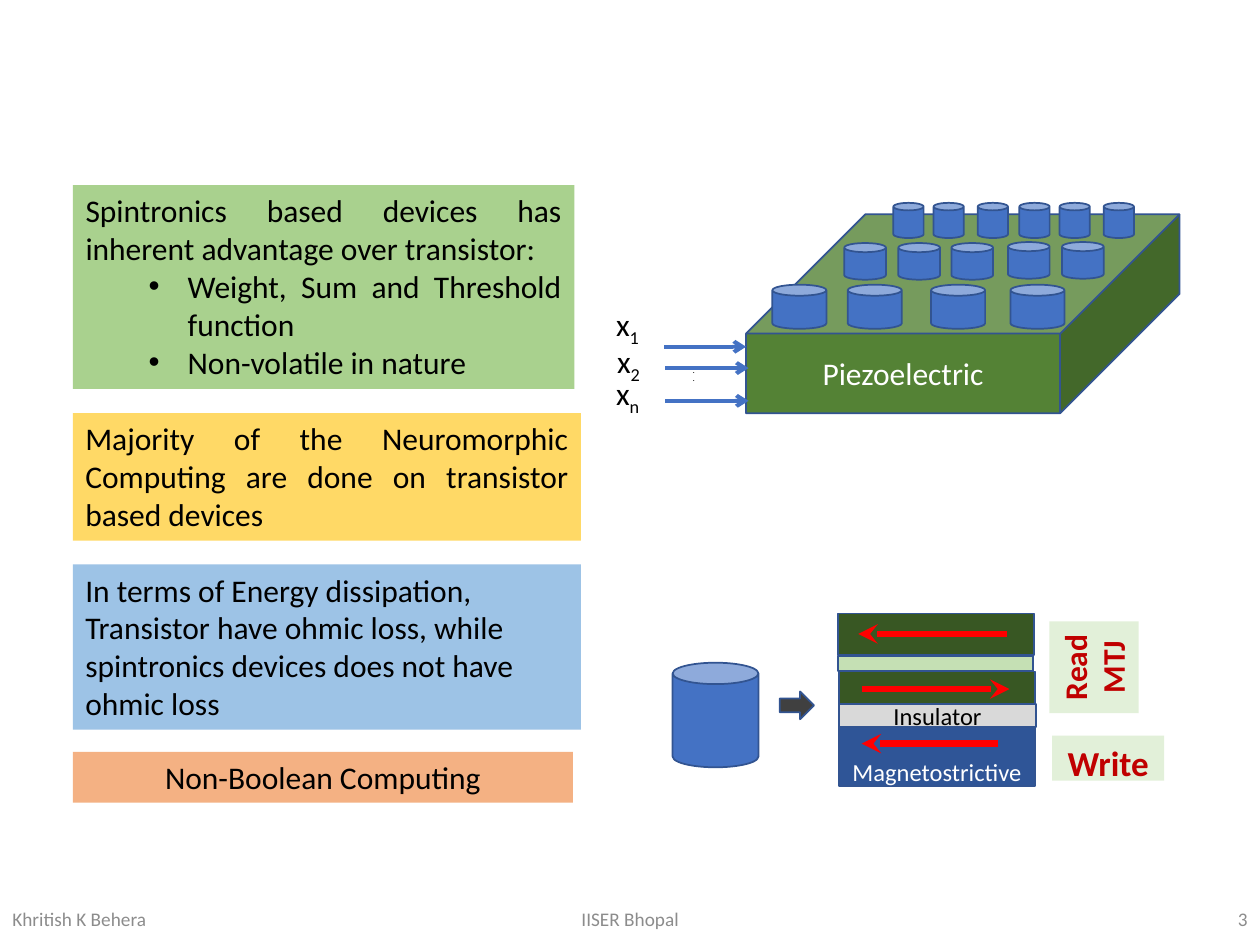
from dataclasses import dataclass

from lxml.etree import SubElement
from pptx import Presentation
from pptx.dml.color import RGBColor
from pptx.enum.shapes import MSO_CONNECTOR, MSO_SHAPE
from pptx.enum.text import MSO_ANCHOR, MSO_AUTO_SIZE, PP_ALIGN
from pptx.oxml.ns import qn
from pptx.util import Cm, Pt


@dataclass(frozen=True)
class Theme:
    font: str = "Calibri"
    black: str = "000000"
    white: str = "FFFFFF"
    grey: str = "8C8C8C"
    crimson: str = "C00000"
    red: str = "FF0000"
    blue: str = "4472C4"
    outline: str = "325491"
    piezo: str = "548235"
    magnet: str = "385723"
    spacer: str = "C5E0B4"
    insulator: str = "D9D9D9"
    magnetostrictive: str = "2F5597"
    step: str = "404040"
    tag: str = "E2F0D9"
    advantage: str = "A9D18E"
    majority: str = "FFD966"
    energy: str = "9DC3E6"
    computing: str = "F4B183"
    body: float = 18
    large: float = 20
    layer: float = 14
    footer: float = 11
    dot: float = 4


@dataclass(frozen=True)
class Area:
    """A frame in centimetres."""
    left: float
    top: float
    width: float
    height: float

    def lengths(self) -> tuple:
        return Cm(self.left), Cm(self.top), Cm(self.width), Cm(self.height)


@dataclass(frozen=True)
class Style:
    size: float
    color: str
    align: PP_ALIGN = PP_ALIGN.LEFT
    anchor: MSO_ANCHOR = MSO_ANCHOR.TOP
    bold: bool = False


@dataclass(frozen=True)
class CanRow:
    top: float
    width: float
    height: float
    lefts: tuple


THEME = Theme()
NOTE = Style(THEME.body, THEME.black)
JUSTIFIED = Style(THEME.body, THEME.black, PP_ALIGN.JUSTIFY)
CENTRED = Style(THEME.body, THEME.black, PP_ALIGN.CENTER)

FOOTERS = (
    ("Khritish K Behera", Area(0, 18.01, 5.72, 1.02), PP_ALIGN.LEFT),
    ("IISER Bhopal", Area(8.41, 18.01, 8.59, 1.02), PP_ALIGN.CENTER),
    ("3", Area(19.69, 18.01, 5.71, 1.02), PP_ALIGN.RIGHT),
)
NOTES = (
    ("Majority of the Neuromorphic Computing are done on transistor based devices",
     Area(1.47, 8.33, 10.24, 2.57), THEME.majority, JUSTIFIED),
    ("In terms of Energy dissipation, Transistor have ohmic loss, while "
     "spintronics devices does not have ohmic loss",
     Area(1.47, 11.38, 10.24, 3.33), THEME.energy, NOTE),
    ("Non-Boolean Computing", Area(1.47, 15.16, 10.08, 1.02), THEME.computing, CENTRED),
)
CAN_ROWS = (
    CanRow(4.09, 0.61, 0.71, (18.01, 18.82, 19.71, 20.55, 21.36, 22.25)),
    CanRow(4.9, 0.84, 0.74, (17.02, 18.11, 19.18)),
    CanRow(4.88, 0.84, 0.74, (20.32, 21.41)),
    CanRow(5.74, 1.09, 0.89, (15.57, 17.09, 18.77, 20.37)),
)
INPUT_ARROWS = ((13.39, 15.04, 6.99), (13.41, 15.09, 7.42), (13.41, 15.09, 8.08))
INPUTS = (
    ("1", Area(12.17, 6.02, 2.03, 1.42)),
    ("2", Area(12.19, 6.78, 1.52, 1.42)),
    ("n", Area(12.17, 7.42, 1.88, 1.42)),
)
LAYERS = (
    (Area(16.89, 12.37, 3.96, 0.84), THEME.magnet),
    (Area(16.92, 14.63, 3.94, 1.22), THEME.magnetostrictive),
    (Area(16.89, 13.23, 3.94, 0.3), THEME.spacer),
    (Area(16.92, 13.54, 3.94, 0.71), THEME.magnet),
    (Area(16.92, 14.2, 3.96, 0.46), THEME.insulator),
)
SPIN_ARROWS = ((20.12, 17.37, 14.99), (20.29, 17.3, 12.78), (17.37, 20.35, 13.89))


def color(value: str) -> RGBColor:
    return RGBColor.from_string(value)


def format_font(font, style: Style) -> None:
    values = {"name": THEME.font, "size": Pt(style.size), "bold": style.bold}
    for name, value in values.items():
        setattr(font, name, value)
    font.color.rgb = color(style.color)


def write(box, text: str, style: Style):
    frame = box.text_frame
    frame.text = text
    values = {"word_wrap": True, "auto_size": MSO_AUTO_SIZE.NONE,
              "vertical_anchor": style.anchor}
    for name, value in values.items():
        setattr(frame, name, value)
    for para in frame.paragraphs:
        para.alignment = style.align
        for span in para.runs:
            format_font(span.font, style)
    return frame


def add_label(page, area: Area, text: str, style: Style):
    return write(page.shapes.add_textbox(*area.lengths()), text, style)


def add_block(page, kind: MSO_SHAPE, area: Area, fill: str, outlined: bool = True):
    box = page.shapes.add_shape(kind, *area.lengths())
    box.shadow.inherit = False
    box.fill.solid()
    box.fill.fore_color.rgb = color(fill)
    if outlined:
        box.line.color.rgb = color(THEME.outline)
        box.line.width = Pt(1)
    else:
        box.line.fill.background()
    return box


def add_arrow(page, start: float, end: float, y: float, stroke: str,
              width: float, head: str) -> None:
    arrow = page.shapes.add_connector(
        MSO_CONNECTOR.STRAIGHT, Cm(start), Cm(y), Cm(end), Cm(y))
    arrow.line.color.rgb = color(stroke)
    arrow.line.width = Pt(width)
    SubElement(arrow.line._get_or_add_ln(), qn("a:tailEnd"), type=head)
    SubElement(arrow._element.spPr, qn("a:effectLst"))


def set_bullet(para, bullet: str, margin: float, indent: float) -> None:
    properties = para._p.get_or_add_pPr()
    properties.set("marL", str(Cm(margin)))
    properties.set("indent", str(Cm(indent)))
    if bullet:
        SubElement(properties, qn("a:buFont"), typeface="Arial")
        SubElement(properties, qn("a:buChar"), char=bullet)
    else:
        SubElement(properties, qn("a:buNone"))


def fill_advantages(box) -> None:
    area = Area(1.47, 3.73, 10.11, 4.11)
    for name, value in zip(("left", "top", "width", "height"), area.lengths()):
        setattr(box, name, value)
    box.fill.solid()
    box.fill.fore_color.rgb = color(THEME.advantage)
    frame = write(box, "Spintronics based devices has inherent advantage over transistor:\n"
                       "Weight, Sum and Threshold function\nNon-volatile in nature", JUSTIFIED)
    for index, para in enumerate(frame.paragraphs):
        para.space_before = Pt(0)
        if index:
            para.level = 1
            set_bullet(para, "•", 2.06, -0.79)
        else:
            set_bullet(para, "", 0, 0)


def draw_piezoelectric(page) -> None:
    cube = add_block(page, MSO_SHAPE.CUBE, Area(15.04, 4.32, 8.74, 4.01), THEME.piezo)
    cube.adjustments[0] = 0.6
    write(cube, "Piezoelectric",
          Style(THEME.body, THEME.white, PP_ALIGN.CENTER, MSO_ANCHOR.MIDDLE))
    for row in CAN_ROWS:
        for left in row.lefts:
            add_block(page, MSO_SHAPE.CAN, Area(left, row.top, row.width, row.height), THEME.blue)
    for start, end, y in INPUT_ARROWS:
        add_arrow(page, start, end, y, THEME.blue, 2.25, "arrow")
    add_label(page, Area(13.72, 7.26, 0.89, 0.81), ".\n.",
              Style(THEME.dot, THEME.black, bold=True))
    for index, area in INPUTS:
        span = add_label(page, area, "x", NOTE).paragraphs[0].add_run()
        span.text = index
        format_font(span.font, NOTE)
        span._r.get_or_add_rPr().set("baseline", "-25000")


def draw_junction(page) -> None:
    add_block(page, MSO_SHAPE.CAN, Area(13.56, 13.36, 1.73, 2.11), THEME.blue)
    add_block(page, MSO_SHAPE.RIGHT_ARROW, Area(15.72, 13.94, 0.69, 0.56), THEME.step)
    layers = [add_block(page, MSO_SHAPE.RECTANGLE, area, fill) for area, fill in LAYERS]
    frame = write(layers[1], "Magnetostrictive",
                  Style(THEME.layer, THEME.white, PP_ALIGN.CENTER, MSO_ANCHOR.BOTTOM))
    frame.margin_bottom = 0
    write(layers[-1], "Insulator",
          Style(THEME.layer, THEME.black, PP_ALIGN.CENTER, MSO_ANCHOR.MIDDLE))
    for start, end, y in SPIN_ARROWS:
        add_arrow(page, start, end, y, THEME.red, 3.75, "stealth")
    for text, area, size, rotation in (
            ("Write", Area(21.21, 14.83, 2.26, 0.91), THEME.large, 0),
            ("Read\vMTJ", Area(21.13, 12.55, 1.85, 1.8), THEME.body, 270)):
        tag = add_block(page, MSO_SHAPE.RECTANGLE, area, THEME.tag, outlined=False)
        tag.rotation = rotation
        write(tag, text, Style(size, THEME.crimson, PP_ALIGN.CENTER, bold=True))


def main() -> None:
    deck = Presentation()
    deck.slide_width, deck.slide_height = Cm(25.4), Cm(19.05)
    page = deck.slides.add_slide(deck.slide_layouts[1])
    title = page.shapes.title._element
    title.getparent().remove(title)
    fill_advantages(page.placeholders[1])
    for text, area, align in FOOTERS:
        add_label(page, area, text, Style(THEME.footer, THEME.grey, align, MSO_ANCHOR.MIDDLE))
    for text, area, fill, style in NOTES:
        write(add_block(page, MSO_SHAPE.RECTANGLE, area, fill, outlined=False), text, style)
    draw_piezoelectric(page)
    draw_junction(page)
    deck.save("out.pptx")


if __name__ == "__main__":
    main()
